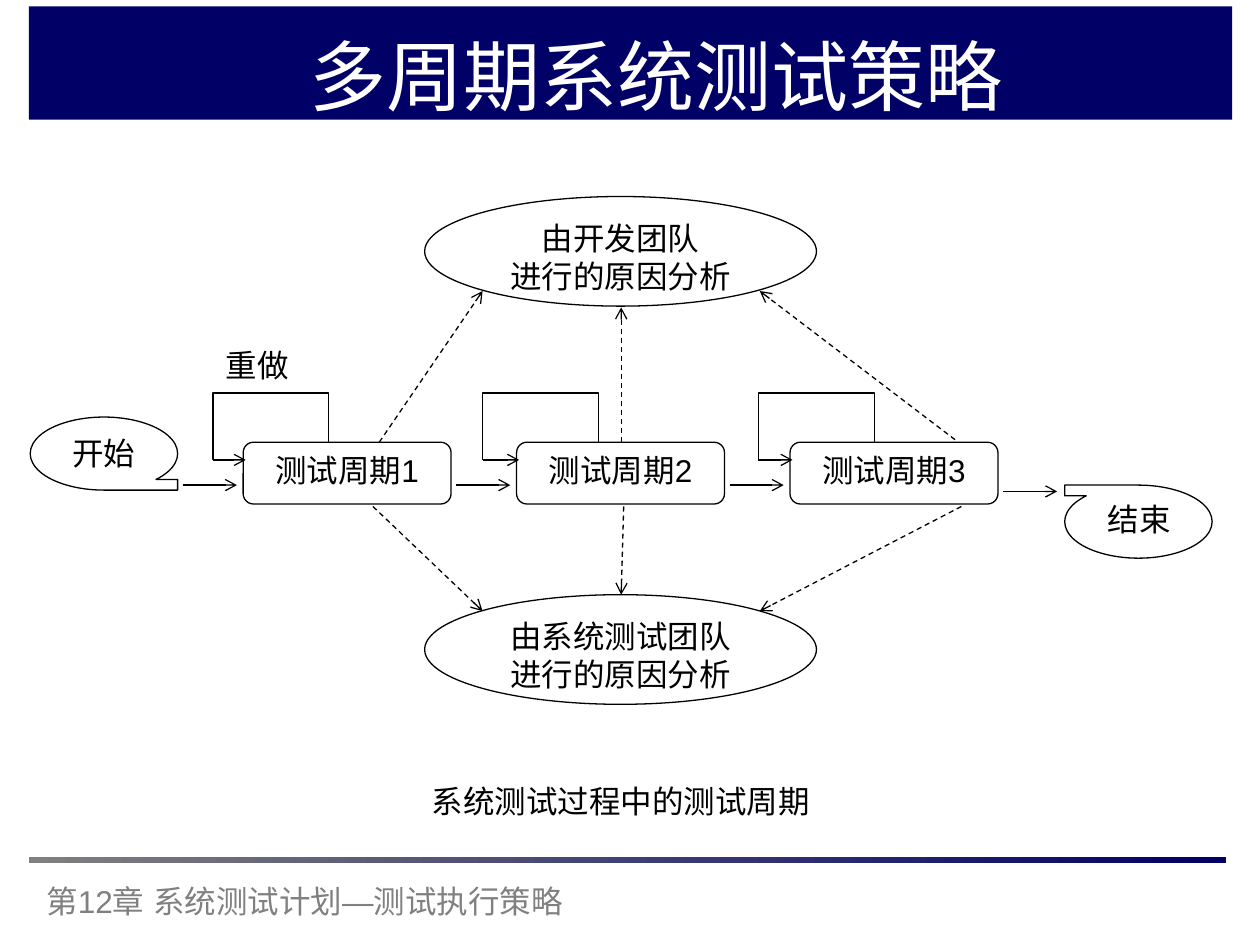
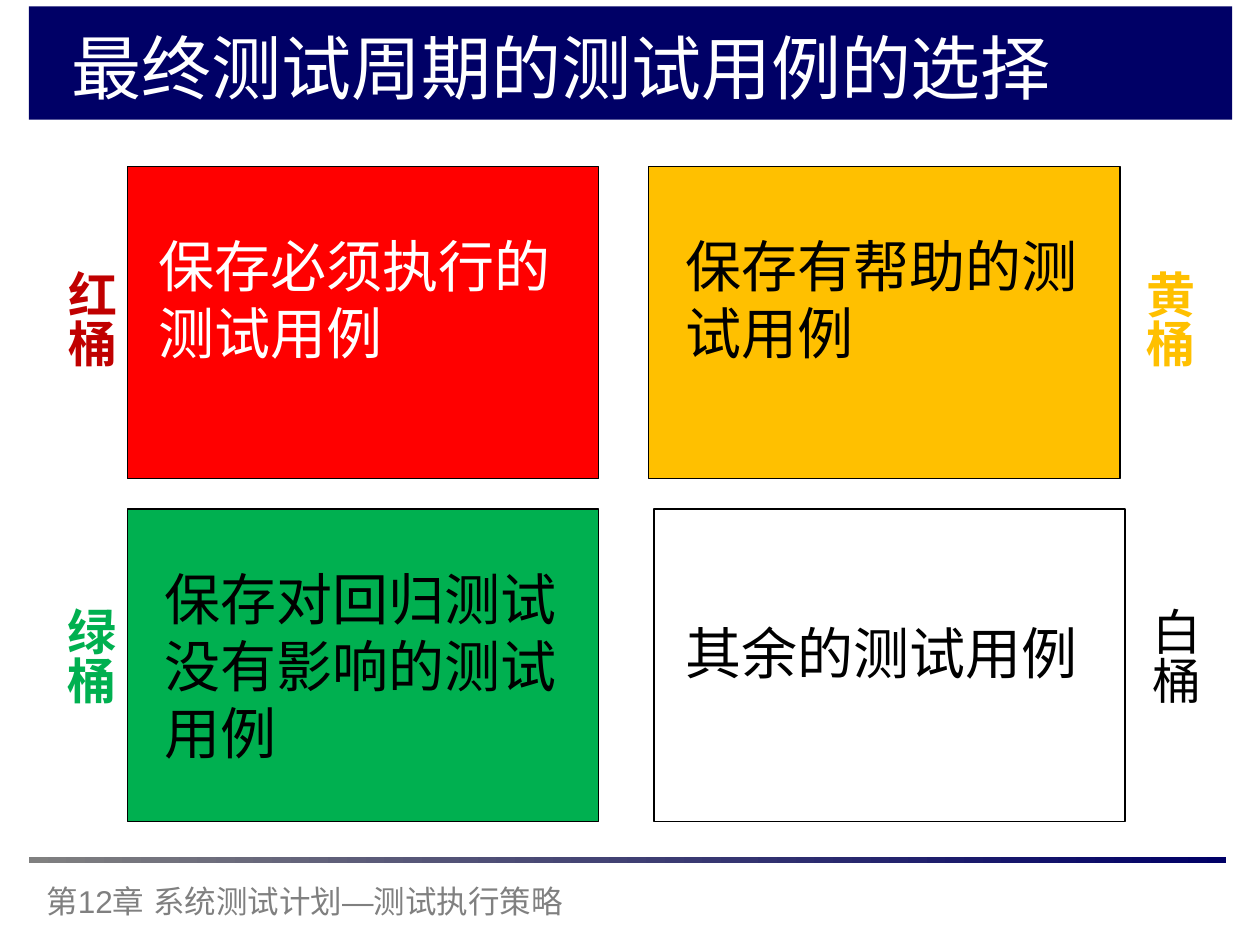
"""Build two slides on multi-cycle system testing."""
from lxml.etree import SubElement
from pptx import Presentation
from pptx.dml.color import RGBColor
from pptx.enum.dml import MSO_LINE_DASH_STYLE as Dash
from pptx.enum.lang import MSO_LANGUAGE_ID as Language
from pptx.enum.shapes import MSO_CONNECTOR as Connector, MSO_SHAPE as Shape
from pptx.enum.text import MSO_ANCHOR as Anchor, MSO_AUTO_SIZE as AutoSize, PP_ALIGN as Align
from pptx.oxml.ns import qn
from pptx.util import Inches, Pt

COLORS = {
    "navy": "000066", "gray": "808080", "black": "000000", "white": "FFFFFF",
    "red": "FF0000", "dark red": "C00000", "yellow": "FFC000", "green": "00B050",
}
FONT, TITLE_FONT = "Arial", "Noto Sans CJK SC"
LINE_WIDTH = 0.75

FOOTER = "第12章 系统测试计划—测试执行策略"
BAND_BOX = (0.23, 0.05, 9.55, 0.9)
RULE_BOX = (0.23, 6.8, 9.5, 0.05)
FOOTER_BOX = (0.27, 6.95, 5.17, 0.4)

STRATEGY_TITLE = "多周期系统测试策略"
CYCLES = ["测试周期1", "测试周期2", "测试周期3"]
CYCLE_LEFT, CYCLE_TOP, CYCLE_STEP = 1.93, 3.51, 2.17
CYCLE_SIZE = (1.65, 0.49)
LOOP_LEFTS = [1.69, 3.83, 6.02]
LOOP_TOP, LOOP_SIZE = 3.12, (0.92, 0.53)
FLOW_LEFT, FLOW_LENGTH = 1.45, 0.43
FLOW_HEIGHTS = [3.85, 3.85, 3.85, 3.9]
ANALYSES = [
    (1.56, ["由开发团队", "进行的原因分析"]),
    (4.72, ["由系统测试团队", "进行的原因分析"]),
]
ANALYSIS_LEFT, ANALYSIS_SIZE = 3.37, (3.11, 0.87)
START_BOX, END_BOX = (0.24, 3.31, 1.17, 0.58), (8.45, 3.85, 1.17, 0.58)
LABELS = [
    ("结束", (8.65, 3.92, 0.78, 0.49)),
    ("重做", (1.65, 2.7, 0.78, 0.49)),
    ("系统测试过程中的测试周期", (1.74, 6.16, 6.37, 0.4)),
]
ANALYSIS_ARROWS = [
    ((3.01, 3.51), (3.83, 2.31)), ((4.93, 3.51), (4.93, 2.44)),
    ((7.58, 3.49), (6.03, 2.31)), ((2.96, 4.02), (3.83, 4.85)),
    ((4.95, 4.02), (4.93, 4.72)), ((7.63, 4.02), (6.03, 4.85)),
]

SELECTION_TITLE = "最终测试周期的测试用例的选择"
BUCKET_SIZE = (3.74, 2.48)
BUCKETS = [
    {"name": "红桶", "name_color": "dark red", "name_at": (0.35, 2.05),
     "fill": "red", "at": (1.01, 1.32), "text": "保存必须执行的测试用例",
     "text_color": "white", "text_box": (1.16, 1.79, 3.45, 1.17)},
    {"name": "黄桶", "name_color": "yellow", "name_at": (8.9, 2.05),
     "fill": "yellow", "at": (5.15, 1.32), "text": "保存有帮助的测试用例",
     "text_color": "black", "text_box": (5.34, 1.79, 3.45, 1.17)},
    {"name": "绿桶", "name_color": "green", "name_at": (0.34, 4.72),
     "fill": "green", "at": (1.01, 4.04), "text": "保存对回归测试没有影响的测试用例",
     "text_color": "black", "text_box": (1.21, 4.43, 3.45, 1.7)},
    {"name": "白桶", "name_color": "black", "name_at": (8.95, 4.72),
     "fill": "white", "at": (5.19, 4.04), "text": "其余的测试用例",
     "text_color": "black", "text_box": (5.34, 4.86, 3.45, 0.64)},
]
NAME_SIZE = (0.66, 1.02)


def rgb(name):
    return RGBColor.from_string(COLORS[name])


def inches(values):
    return [Inches(value) for value in values]


def set_all(target, values):
    for name, value in values.items():
        setattr(target, name, value)


def write(shape, lines, size=18, color="black", align=Align.CENTER, bold=False,
          font=FONT, anchor=Anchor.TOP, margins=(0.1, 0.05, 0.1, 0.05), wrap=True):
    frame = shape.text_frame
    left, top, right, bottom = inches(margins)
    set_all(frame, {
        "word_wrap": wrap, "auto_size": AutoSize.NONE, "vertical_anchor": anchor,
        "margin_left": left, "margin_top": top,
        "margin_right": right, "margin_bottom": bottom,
    })
    for index, line in enumerate(lines):
        paragraph = frame.add_paragraph() if index else frame.paragraphs[0]
        paragraph.alignment = align
        run = paragraph.add_run()
        run.text = line
        set_all(run.font, {"name": font, "size": Pt(size), "bold": bold,
                           "language_id": Language.SIMPLIFIED_CHINESE})
        run.font.color.rgb = rgb(color)
        SubElement(run.font._element, qn("a:ea"), typeface=font)


def add_box(slide, kind, box, fill=None, line="black"):
    shape = slide.shapes.add_shape(kind, *inches(box))
    shape.shadow.inherit = False
    if fill:
        shape.fill.solid()
        shape.fill.fore_color.rgb = rgb(fill)
    else:
        shape.fill.background()
    if line:
        shape.line.color.rgb = rgb(line)
        shape.line.width = Pt(LINE_WIDTH)
    else:
        shape.line.fill.background()
    return shape


def add_text(slide, box, text, **style):
    shape = slide.shapes.add_textbox(*inches(box))
    write(shape, [text], **style)
    return shape


def add_arrow(slide, start, end, dashed=False):
    arrow = slide.shapes.add_connector(Connector.STRAIGHT, *inches(start + end))
    arrow.line.color.rgb = rgb("black")
    arrow.line.width = Pt(LINE_WIDTH)
    if dashed:
        arrow.line.dash_style = Dash.DASH
    SubElement(arrow.line._get_or_add_ln(), qn("a:tailEnd"), type="arrow")
    SubElement(arrow._element.spPr, qn("a:effectLst"))


def add_slide(presentation, title_text, title_box, **title_style):
    slide = presentation.slides.add_slide(presentation.slide_layouts[5])
    add_box(slide, Shape.RECTANGLE, BAND_BOX, "navy", None)
    rule = add_box(slide, Shape.RECTANGLE, RULE_BOX, line=None)
    rule.fill.gradient()
    rule.fill.gradient_angle = 0
    for stop, color in zip(rule.fill.gradient_stops, ("gray", "navy")):
        stop.color.rgb = rgb(color)
    add_text(slide, FOOTER_BOX, FOOTER, color="gray", align=Align.LEFT)
    title = slide.shapes.title
    title.element.getparent().append(title.element)
    set_all(title, dict(zip(("left", "top", "width", "height"), inches(title_box))))
    write(title, [title_text], color="white", anchor=Anchor.MIDDLE, **title_style)
    return slide


def build_strategy(presentation):
    slide = add_slide(presentation, STRATEGY_TITLE, (0.5, 0.21, 9, 0.76),
                      size=44, margins=(0.52, 0.05, 0.1, 0.05))
    for index, (cycle, loop_left) in enumerate(zip(CYCLES, LOOP_LEFTS)):
        left = CYCLE_LEFT + index * CYCLE_STEP
        add_box(slide, Shape.RECTANGLE, (loop_left, LOOP_TOP, *LOOP_SIZE))
        box = add_box(slide, Shape.ROUNDED_RECTANGLE,
                      (left, CYCLE_TOP, *CYCLE_SIZE), "white")
        write(box, [cycle])
        loop_end = LOOP_TOP + LOOP_SIZE[1]
        add_arrow(slide, (loop_left, loop_end), (left + 0.02, loop_end))
    for index, height in enumerate(FLOW_HEIGHTS):
        left = FLOW_LEFT + index * CYCLE_STEP
        add_arrow(slide, (left, height), (left + FLOW_LENGTH, height))
    write(add_box(slide, Shape.FLOWCHART_SEQUENTIAL_ACCESS_STORAGE, START_BOX), ["开始"])
    add_box(slide, Shape.FLOWCHART_SEQUENTIAL_ACCESS_STORAGE, END_BOX).rotation = 180
    for top, lines in ANALYSES:
        write(add_box(slide, Shape.OVAL, (ANALYSIS_LEFT, top, *ANALYSIS_SIZE)), lines)
    for start, end in ANALYSIS_ARROWS:
        add_arrow(slide, start, end, dashed=True)
    for text, box in LABELS:
        add_text(slide, box, text)


def build_selection(presentation):
    slide = add_slide(presentation, SELECTION_TITLE, (0.32, 0.16, 8.27, 0.74),
                      size=40, font=TITLE_FONT)
    for bucket in BUCKETS:
        add_box(slide, Shape.RECTANGLE, bucket["at"] + BUCKET_SIZE, bucket["fill"])
        add_text(slide, bucket["text_box"], bucket["text"], size=32,
                 color=bucket["text_color"], align=Align.LEFT)
        name = add_text(slide, bucket["name_at"] + NAME_SIZE, bucket["name"], size=28,
                        color=bucket["name_color"], bold=bucket["fill"] != "white",
                        margins=(0.05, 0.1, 0.05, 0.1), wrap=False)
        name.text_frame._txBody.bodyPr.set("vert", "eaVert")


def main():
    presentation = Presentation()
    set_all(presentation, {"slide_width": Inches(10), "slide_height": Inches(7.5)})
    build_strategy(presentation)
    build_selection(presentation)
    presentation.save("out.pptx")


if __name__ == "__main__":
    main()
